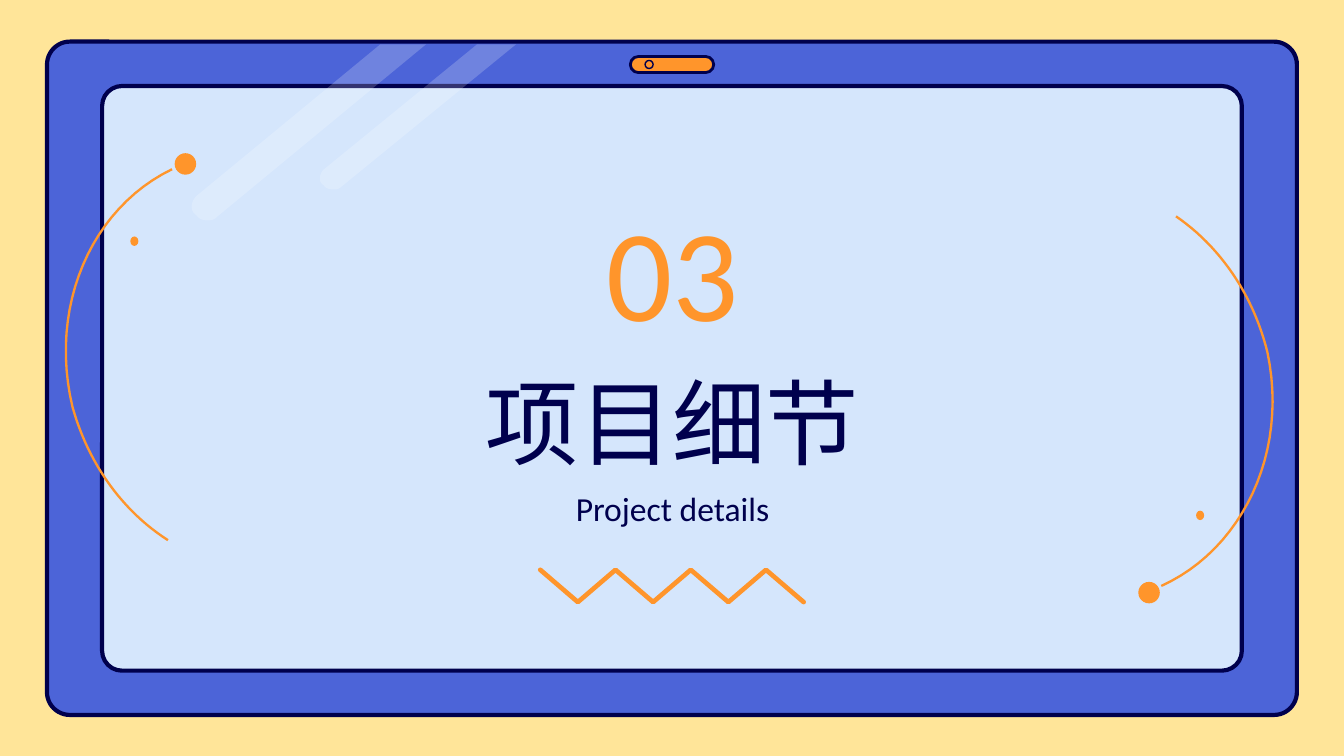
from lxml.etree import SubElement
from pptx import Presentation
from pptx.dml.color import RGBColor
from pptx.enum.shapes import MSO_SHAPE
from pptx.enum.text import MSO_ANCHOR, MSO_AUTO_SIZE, PP_ALIGN
from pptx.oxml.ns import qn
from pptx.util import Inches, Pt

THEME = {
    "sand": "FFE599", "blue": "4C64D8", "sky": "D5E6FC",
    "navy": "00004D", "orange": "FF952B", "white": "FFFFFF",
    "latin": "Calibri", "han": "Noto Sans CJK SC",
    "number": 70, "title": 50, "sub": 18,
    "border": 2.25, "pill": 1.5, "lens": 0.75, "arc": 1.25, "zigzag": 2.5,
}

# role: wording, box, font, colour, anchor
TEXTS = {
    "title": ("项目细节", (2.73, 2.32, 4.55, 1.23), "han", "navy", MSO_ANCHOR.BOTTOM),
    "sub": ("Project details", (2.73, 3.63, 4.55, 0.37), "latin", "navy", MSO_ANCHOR.TOP),
    "number": ("03", (2.73, 1.62, 4.55, 0.77), "latin", "orange", MSO_ANCHOR.MIDDLE),
}

# kind, box, fill, line colour, line width, corner
ROUND, OVAL = MSO_SHAPE.ROUNDED_RECTANGLE, MSO_SHAPE.OVAL
FRAME = [
    (ROUND, (0.35, 0.31, 9.3, 5.01), "blue", "navy", "border", 0.034),
    (ROUND, (0.76, 0.64, 8.48, 4.35), "sky", "navy", "border", 0.034),
]
CAMERA = [
    (ROUND, (4.69, 0.42, 0.62, 0.12), "orange", "navy", "pill", 0.5),
    (OVAL, (4.8, 0.45, 0.06, 0.06), "orange", "navy", "lens", None),
]
DOTS = [
    (OVAL, box, "orange", None, None, None)
    for box in [(8.47, 4.33, 0.16, 0.16), (8.9, 3.8, 0.06, 0.07),
                (1.3, 1.14, 0.16, 0.16), (0.97, 1.76, 0.06, 0.07)]
]

# Each step is a point, or three points of a Bezier curve
SHINES = [
    [(3.17, 0.33), (1.62, 1.61), ((1.59, 1.64), (1.57, 1.64), (1.54, 1.64)),
     ((1.51, 1.64), (1.48, 1.63), (1.46, 1.6)),
     ((1.41, 1.57), (1.42, 1.5), (1.46, 1.46)), (2.83, 0.33)],
    [(3.84, 0.33), (2.54, 1.39), ((2.52, 1.41), (2.5, 1.41), (2.48, 1.41)),
     ((2.45, 1.41), (2.42, 1.4), (2.41, 1.38)),
     ((2.36, 1.35), (2.38, 1.29), (2.41, 1.26)), (3.55, 0.33)],
]
ARCS = [
    [(8.64, 4.36), ((9.24, 4.09), (9.59, 3.37), (9.43, 2.62)),
     ((9.32, 2.18), (9.07, 1.83), (8.75, 1.61))],
    [(1.28, 1.26), ((0.68, 1.55), (0.36, 2.28), (0.54, 3.03)),
     ((0.66, 3.46), (0.92, 3.81), (1.25, 4.02))],
]
LEFT, RIGHT, TOP, LOW, TURNS = 4.02, 5.98, 4.24, 4.48, 7
ZIGZAG = [(LEFT + (RIGHT - LEFT) * i / TURNS, LOW if i % 2 else TOP)
          for i in range(TURNS + 1)]


def color(name):
    return RGBColor.from_string(THEME[name])


def paint(shape, fill=None, line=None, width=None):
    shape.shadow.inherit = False
    if fill:
        shape.fill.solid()
        shape.fill.fore_color.rgb = color(fill)
    else:
        shape.fill.background()
    if line:
        shape.line.color.rgb = color(line)
        shape.line.width = Pt(THEME[width])
    else:
        shape.line.fill.background()


def add_shapes(slide, items):
    for kind, box, fill, line, width, corner in items:
        shape = slide.shapes.add_shape(kind, *map(Inches, box))
        if corner:
            shape.adjustments[0] = corner
        paint(shape, fill, line, width)


def flatten(steps, count=24):
    """Turn the curves among the steps into short straight pieces."""
    points = [steps[0]]
    for step in steps[1:]:
        if not isinstance(step[0], tuple):
            points.append(step)
            continue
        ends = list(zip(points[-1], *step))
        for i in range(1, count + 1):
            t = i / count
            u = 1 - t
            points.append(tuple(
                u**3 * a + 3 * u * u * t * b + 3 * u * t * t * c + t**3 * d
                for a, b, c, d in ends))
    return points


def add_path(slide, steps, close=False, **look):
    points = [(Inches(x), Inches(y)) for x, y in flatten(steps)]
    pen = slide.shapes.build_freeform(*points[0])
    pen.add_line_segments(points[1:], close=close)
    shape = pen.convert_to_shape()
    paint(shape, **look)
    return shape


def set_text(shape, role):
    words, box, face, tint, anchor = TEXTS[role]
    for name, value in zip(("left", "top", "width", "height"), box):
        setattr(shape, name, Inches(value))
    frame = shape.text_frame
    form = {"word_wrap": True, "auto_size": MSO_AUTO_SIZE.NONE,
            "vertical_anchor": anchor, "margin_left": 0, "margin_right": 0,
            "margin_top": 0, "margin_bottom": 0}
    for name, value in form.items():
        setattr(frame, name, value)
    para = frame.paragraphs[0]
    para.alignment = PP_ALIGN.CENTER
    para.space_before = Pt(0)
    run = para.add_run()
    run.text = words
    for name, value in {"name": THEME[face], "size": Pt(THEME[role])}.items():
        setattr(run.font, name, value)
    run.font.color.rgb = color(tint)
    SubElement(run.font._element, qn("a:ea"), typeface=THEME[face])


def main():
    deck = Presentation()
    deck.slide_width = Inches(10)
    deck.slide_height = deck.slide_width * 9 // 16
    slide = deck.slides.add_slide(deck.slide_layouts[0])
    slide.background.fill.solid()
    slide.background.fill.fore_color.rgb = color("sand")

    add_shapes(slide, FRAME)
    for steps in SHINES:
        shine = add_path(slide, steps, close=True, fill="white")
        tint = shine._element.spPr.find(".//" + qn("a:srgbClr"))
        SubElement(tint, qn("a:alpha"), val="20000")
    add_shapes(slide, CAMERA)

    title, sub = slide.placeholders
    for holder in (title, sub):  # bring the text in front of the screen
        slide.shapes._spTree.append(holder._element)
    number = slide.shapes.add_textbox(0, 0, 0, 0)
    for role, shape in {"title": title, "sub": sub, "number": number}.items():
        set_text(shape, role)

    zigzag = add_path(slide, ZIGZAG, line="orange", width="zigzag")
    zigzag.line._get_or_add_ln().set("cap", "rnd")
    for steps in ARCS:
        add_path(slide, steps, line="orange", width="arc")
    add_shapes(slide, DOTS)
    deck.save("out.pptx")


if __name__ == "__main__":
    main()
